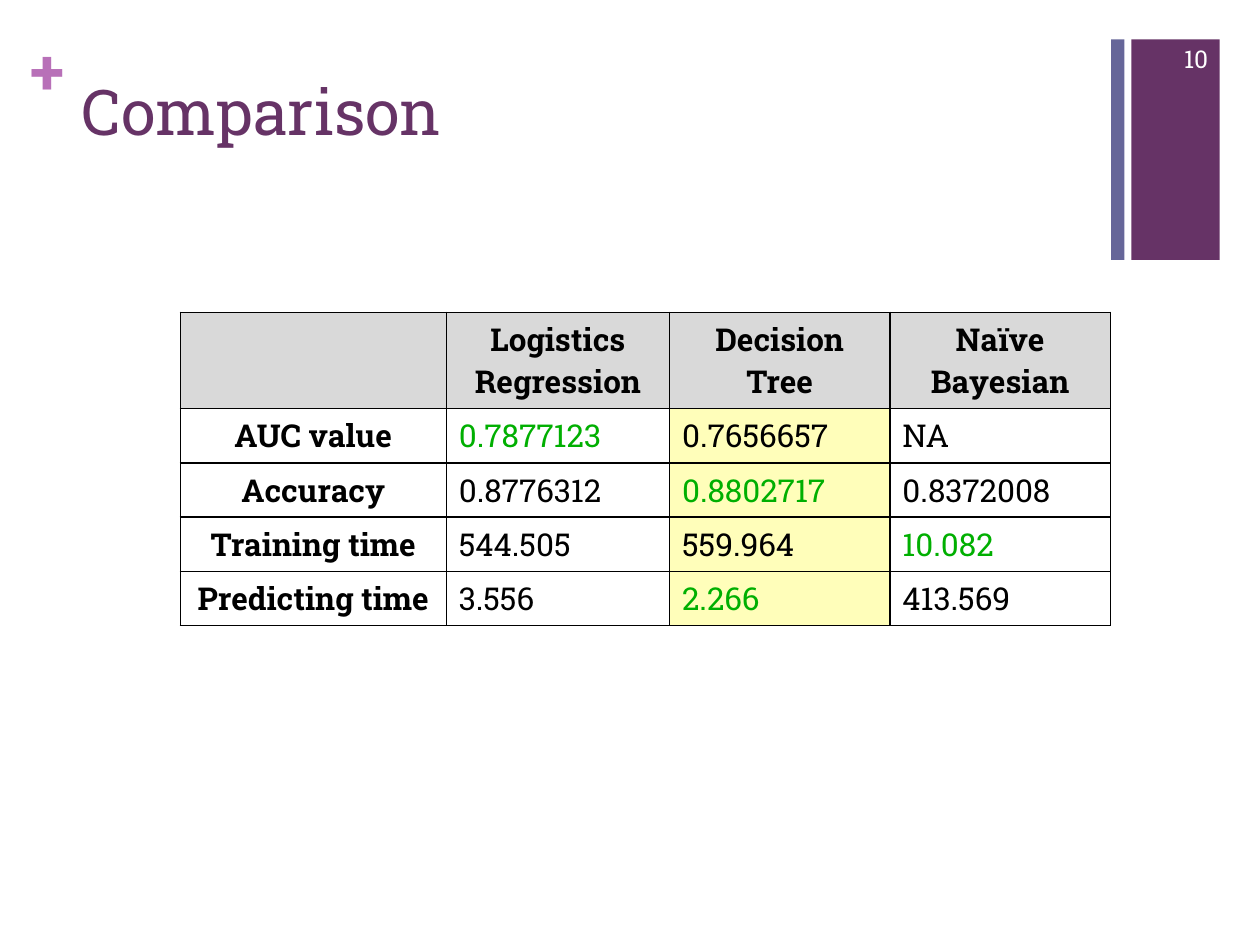
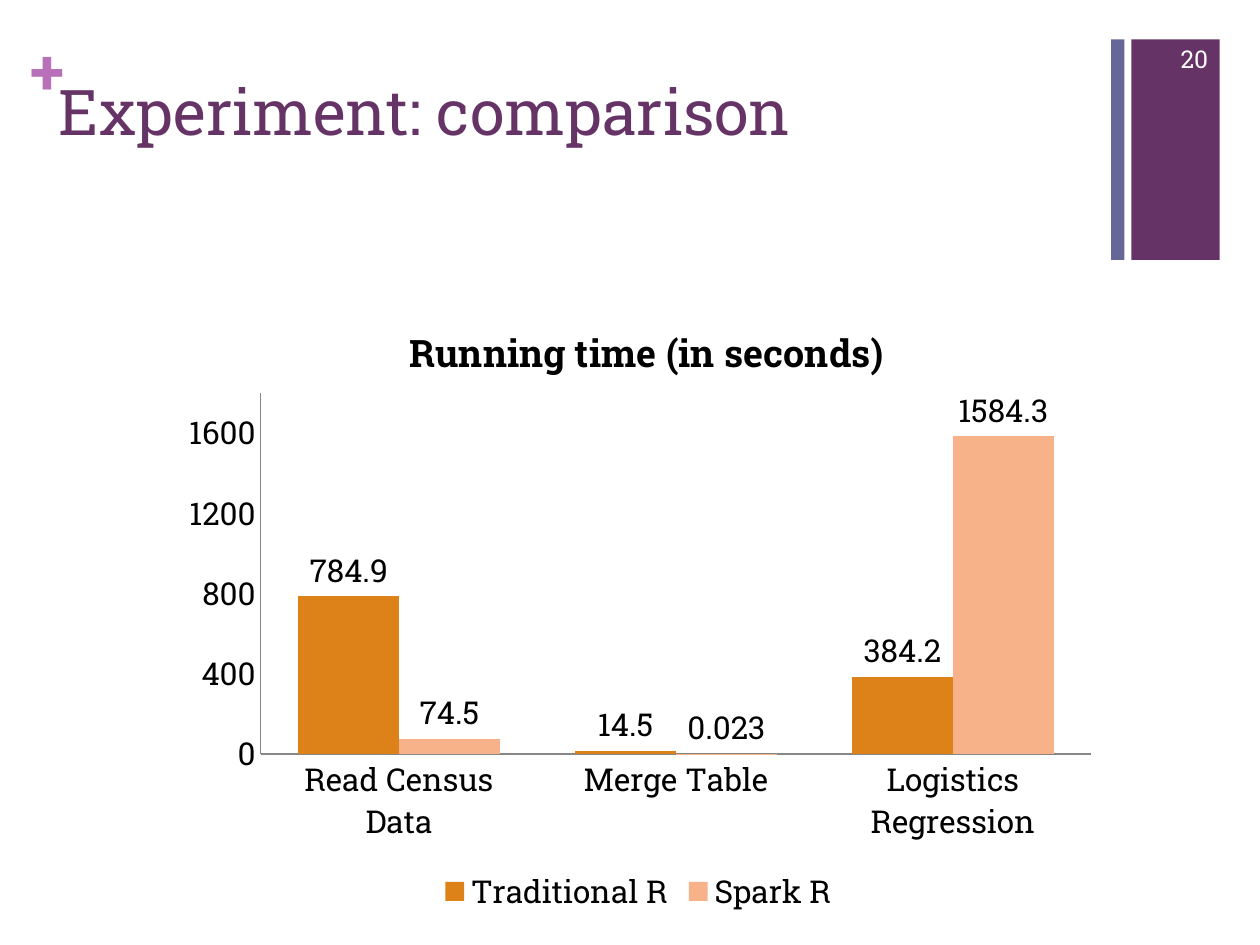
from lxml.etree import SubElement as Sub
from pptx import Presentation
from pptx.chart.data import CategoryChartData as Data
from pptx.dml.color import RGBColor as RGB
from pptx.enum.chart import XL_CHART_TYPE as Kind, XL_LABEL_POSITION as Spot
from pptx.enum.chart import XL_LEGEND_POSITION as Side, XL_TICK_MARK as Tick
from pptx.enum.shapes import MSO_SHAPE as Form
from pptx.enum.text import MSO_ANCHOR as Anchor, PP_ALIGN as Align
from pptx.oxml import parse_xml
from pptx.oxml.ns import nsdecls, qn
from pptx.util import Pt

FACE = "Roboto Slab"
COLOR = {
    "plum": "663366", "slate": "666699", "orchid": "B870B8",
    "white": "FFFFFF", "black": "000000", "grey": "D9D9D9",
    "cream": "FFFEBA", "green": "00AF01", "axis": "868686",
    "orange": "DC8218", "peach": "F8B289",
}
HEADS = ["", "Logistics Regression", "Decision Tree", "Naïve Bayesian"]
ROWS = [
    ["AUC value", "0.7877123", "0.7656657", "NA"],
    ["Accuracy", "0.8776312", "0.8802717", "0.8372008"],
    ["Training time", "544.505", "559.964", "10.082"],
    ["Predicting time", "3.556", "2.266", "413.569"],
]
BEST = {(1, 1), (2, 2), (3, 3), (4, 2)}
PICK = 2
STEPS = ["Read Census Data", "Merge Table", "Logistics Regression"]
TIMES = [("Traditional R", "orange", [784.9, 14.5, 384.2]),
         ("Spark R", "peach", [74.5, 0.023, 1584.3])]


def rgb(name):
    """Return a palette colour."""
    return RGB.from_string(COLOR[name])


def style(font, size, color, bold=False):
    """Set face, size, colour and weight of a font."""
    font.name, font.size, font.bold = FACE, Pt(size), bold
    font.color.rgb = rgb(color)


def place(shape, box):
    """Move a shape to a box of left, top, width, height."""
    shape.left, shape.top, shape.width, shape.height = map(Pt, box)


def bar(slide, box, color):
    """Draw a plain filled bar."""
    shape = slide.shapes.add_shape(Form.RECTANGLE, *map(Pt, box))
    shape.shadow.inherit = False
    shape.fill.solid()
    shape.fill.fore_color.rgb = rgb(color)
    shape.line.fill.background()


def label(slide, box, text, size, color, bold=False, align=Align.LEFT):
    """Add a one-line text box and return its frame."""
    frame = slide.shapes.add_textbox(*map(Pt, box)).text_frame
    frame.word_wrap = True
    para = frame.paragraphs[0]
    para.text, para.alignment = text, align
    style(para.font, size, color, bold)
    return frame


def base(deck, title, number, box):
    """Add a slide with bars, plus sign, title and number."""
    slide = deck.slides.add_slide(deck.slide_layouts[5])
    bar(slide, (646.5, 22.5, 50.5, 126), "plum")
    bar(slide, (635, 22.5, 7.5, 126), "slate")
    plus = label(slide, (17.5, 18, 21, 44), "+", 36, "orchid", True)
    plus.margin_left = plus.margin_right = 0
    plus.margin_top = plus.margin_bottom = 0
    head = slide.shapes.title
    place(head, box)
    frame = head.text_frame
    frame.text = title
    frame.vertical_anchor = Anchor.TOP
    para = frame.paragraphs[0]
    para.alignment = Align.LEFT
    style(para.font, 36, "plum")
    page = label(slide, (653.5, 19, 44, 29), number, 14, "white",
                 align=Align.RIGHT)
    page.vertical_anchor = Anchor.MIDDLE
    return slide


def edge(cell):
    """Give a cell thin black borders."""
    props = cell._tc.get_or_add_tcPr()
    for spot, side in enumerate(("lnL", "lnR", "lnT", "lnB")):
        props.insert(spot, parse_xml(
            f'<a:{side} {nsdecls("a")} w="12700"><a:solidFill>'
            f'<a:srgbClr val="{COLOR["black"]}"/></a:solidFill></a:{side}>'))


def scores(slide, box):
    """Draw the table of model scores, best values in green."""
    grid = [HEADS] + ROWS
    table = slide.shapes.add_table(
        len(grid), len(HEADS), *map(Pt, box)).table
    table.first_row = table.horz_banding = False
    for col, share in zip(table.columns, (0.286, 0.24, 0.237, 0.237)):
        col.width = Pt(round(box[2] * share, 2))
    for r, line in enumerate(grid):
        table.rows[r].height = Pt(31 if r else 55)
        for c, text in enumerate(line):
            cell = table.cell(r, c)
            edge(cell)
            fill = "grey" if r == 0 else "cream" if c == PICK else "white"
            cell.fill.solid()
            cell.fill.fore_color.rgb = rgb(fill)
            head = r == 0 or c == 0
            para = cell.text_frame.paragraphs[0]
            para.text = text
            para.alignment = Align.CENTER if head else Align.LEFT
            style(para.font, 18, "green" if (r, c) in BEST else "black", head)


def layout(node, **parts):
    """Fix a chart part at fractions of the chart."""
    old = node.find(qn("c:layout"))
    if old is None:
        old = Sub(node, qn("c:layout"))
        node.remove(old)
        node.insert(1 if node.tag == qn("c:title") else 0, old)
    for child in list(old):
        old.remove(child)
    hold = Sub(old, qn("c:manualLayout"))
    if "w" in parts:
        Sub(hold, qn("c:layoutTarget")).set("val", "inner")
    for key in ("x", "y"):
        Sub(hold, qn(f"c:{key}Mode")).set("val", "edge")
    for key, value in parts.items():
        Sub(hold, qn(f"c:{key}")).set("val", str(value))


def timing(slide, box):
    """Draw the column chart of running times."""
    data = Data()
    data.categories = STEPS
    for name, _, values in TIMES:
        data.add_series(name, values)
    chart = slide.shapes.add_chart(
        Kind.COLUMN_CLUSTERED, *map(Pt, box), data).chart
    style(chart.font, 18, "black")
    chart.has_title = True
    para = chart.chart_title.text_frame.paragraphs[0]
    para.text = "Running time (in seconds)"
    style(para.font, 21.6, "black", True)
    chart.chart_title.include_in_layout = True
    layout(chart.chart_title._element, x=0.25, y=0.05)
    chart.has_legend = True
    chart.legend.position = Side.BOTTOM
    chart.legend.include_in_layout = False
    for axis in (chart.category_axis, chart.value_axis):
        axis.major_tick_mark = axis.minor_tick_mark = Tick.NONE
        axis.has_major_gridlines = False
        axis.format.line.color.rgb = rgb("axis")
    scale = chart.value_axis
    scale.minimum_scale, scale.maximum_scale = 0, 1800
    scale.major_unit = 400
    plot = chart.plots[0]
    plot.gap_width, plot.overlap, plot.vary_by_categories = 75, 0, False
    for series, (_, color, _) in zip(plot.series, TIMES):
        series.format.fill.solid()
        series.format.fill.fore_color.rgb = rgb(color)
        tags = series.data_labels
        tags.show_value = True
        tags.position = Spot.OUTSIDE_END
        style(tags.font, 18, "black")
    layout(chart._chartSpace.chart.plotArea, x=0.1, y=0.17, w=0.88, h=0.57)


def main():
    """Build both slides and save them."""
    deck = Presentation()
    deck.slide_width, deck.slide_height = Pt(720), Pt(540)
    slide = base(deck, "Comparison", "10", (39.5, 38, 595, 88))
    scores(slide, (103, 178.5, 531.5, 179))
    slide = base(deck, "Experiment: comparison", "20", (26.5, 38, 608, 88))
    timing(slide, (95, 163, 539.5, 362))
    deck.save("out.pptx")


main()
